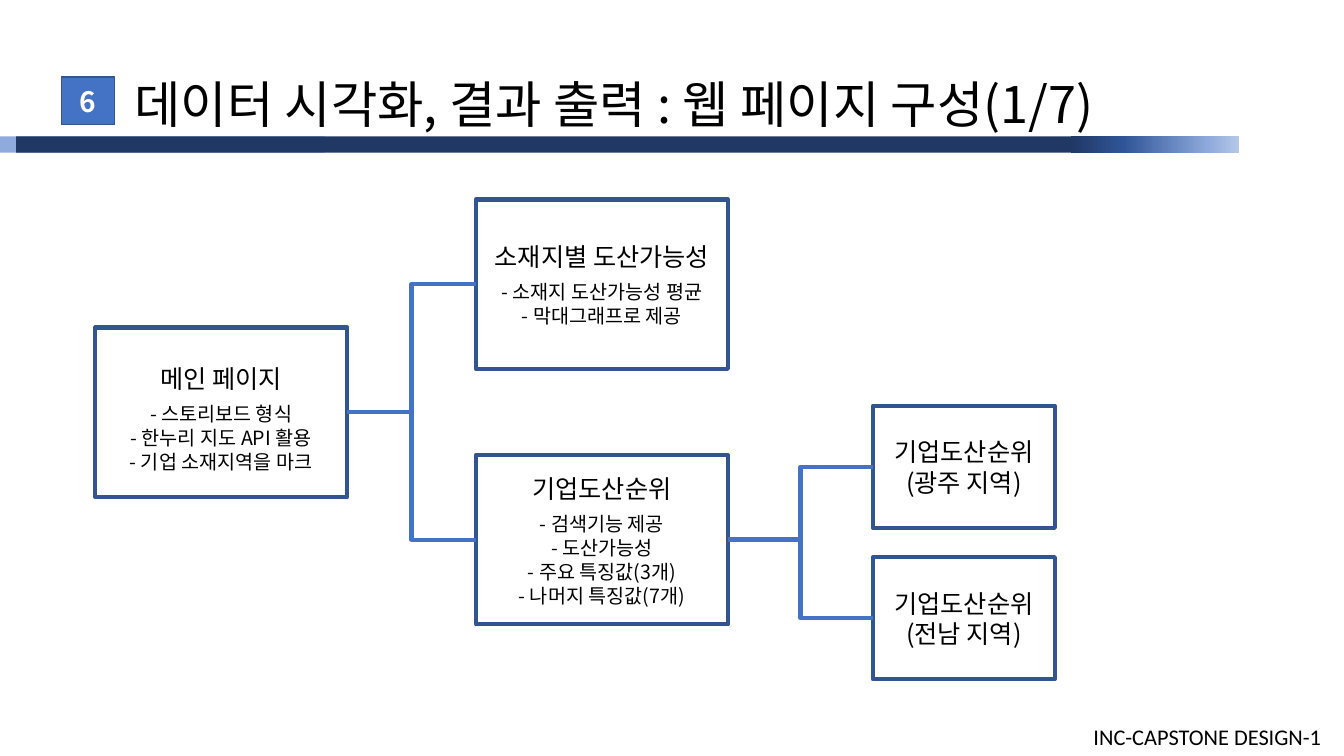
from lxml import etree
from pptx import Presentation
from pptx.dml.color import RGBColor
from pptx.enum import shapes, text
from pptx.oxml.ns import qn
from pptx.util import Pt

KOREAN = "Noto Sans CJK KR"
LATIN = "Calibri"
WHITE = RGBColor(0xFF, 0xFF, 0xFF)
BLACK = RGBColor(0, 0, 0)
BLUE = RGBColor(0x44, 0x72, 0xC4)
FRAME_BLUE = RGBColor(0x32, 0x54, 0x91)
NAVY = RGBColor(0x20, 0x38, 0x64)
MID_BLUE = RGBColor(0x2F, 0x55, 0x97)
LIGHT_BLUE = RGBColor(0x8F, 0xAA, 0xDC)
PALE_BLUE = RGBColor(0xB4, 0xC7, 0xE7)
FADE = [(0, PALE_BLUE), (18, LIGHT_BLUE), (69, MID_BLUE), (100, NAVY)]

LINE_RATIO = 1.22
HEAD_SIZE, ITEM_SIZE, ITEM_GAP = 18, 14, 6
RIGHT_SITE, LEFT_SITE = 3, 1


def format_paragraph(p, size, color=BLACK, name=KOREAN, align=text.PP_ALIGN.LEFT):
    p.alignment = align
    p.line_spacing = Pt(round(size * LINE_RATIO, 1))
    p.font.size = Pt(size)
    p.font.name = name
    p.font.color.rgb = color
    east_asian = etree.SubElement(p._p.pPr.find(qn("a:defRPr")), qn("a:ea"))
    east_asian.set("typeface", name)


def add_rect(slide, x, y, w, h, fill=None, line=None, weight=1):
    sp = slide.shapes.add_shape(shapes.MSO_SHAPE.RECTANGLE, Pt(x), Pt(y), Pt(w), Pt(h))
    sp.shadow.inherit = False
    if fill is None:
        sp.fill.background()
    else:
        sp.fill.solid()
        sp.fill.fore_color.rgb = fill
    if line is None:
        sp.line.fill.background()
    else:
        sp.line.color.rgb = line
        sp.line.width = Pt(weight)
    return sp


def fade_fill(sp, stops):
    """Fill a shape with a gradient running from right to left."""
    sp.fill.gradient()
    sp.fill.gradient_angle = 180
    gs_list = sp._element.spPr.find(qn("a:gradFill")).find(qn("a:gsLst"))
    for gs in list(gs_list):
        gs_list.remove(gs)
    for percent, color in stops:
        gs = etree.SubElement(gs_list, qn("a:gs"), pos=str(percent * 1000))
        etree.SubElement(gs, qn("a:srgbClr"), val=str(color))


def add_title(slide, title):
    sp = slide.shapes.title
    sp.left, sp.top, sp.width, sp.height = Pt(27), Pt(48), Pt(870), Pt(51)
    tf = sp.text_frame
    tf.text = title
    tf.margin_left = Pt(69)
    tf.auto_size = text.MSO_AUTO_SIZE.NONE
    tf.vertical_anchor = text.MSO_ANCHOR.TOP
    format_paragraph(tf.paragraphs[0], 36)


def add_badge(slide, number):
    sp = add_rect(slide, 44, 55, 38, 34, BLUE, FRAME_BLUE)
    tf = sp.text_frame
    tf.text = number
    tf.vertical_anchor = text.MSO_ANCHOR.MIDDLE
    p = tf.paragraphs[0]
    format_paragraph(p, 20, WHITE, align=text.PP_ALIGN.CENTER)
    p.font.bold = True


def add_footer(slide, label):
    sp = slide.shapes.add_textbox(Pt(774), Pt(513), Pt(244), Pt(27))
    tf = sp.text_frame
    tf.word_wrap = True
    tf.text = label
    format_paragraph(tf.paragraphs[0], 16, name=LATIN)


def add_page(slide, x, y, w, h, heads, items=(), drop=0):
    """Draw a page's frame with its caption, lowered by drop, and return the frame."""
    frame = add_rect(slide, x, y, w, h, line=FRAME_BLUE, weight=3)
    caption = slide.shapes.add_textbox(Pt(x), Pt(y + drop), Pt(w), Pt(h))
    tf = caption.text_frame
    tf.word_wrap = True
    tf.vertical_anchor = text.MSO_ANCHOR.MIDDLE
    tf.text = "\n".join([*heads, *items])
    for i, p in enumerate(tf.paragraphs):
        size = HEAD_SIZE if i < len(heads) else ITEM_SIZE
        format_paragraph(p, size, align=text.PP_ALIGN.CENTER)
        if i == len(heads):
            p.space_before = Pt(ITEM_GAP)
    return frame


def link(slide, parent, child):
    line = slide.shapes.add_connector(shapes.MSO_CONNECTOR.ELBOW, 0, 0, 0, 0)
    line.begin_connect(parent, RIGHT_SITE)
    line.end_connect(child, LEFT_SITE)
    line.line.color.rgb = BLUE
    line.line.width = Pt(3)
    etree.SubElement(line._element.spPr, qn("a:effectLst"))


def main():
    prs = Presentation()
    prs.slide_width, prs.slide_height = Pt(960), Pt(540)
    slide = prs.slides.add_slide(prs.slide_layouts[5])

    add_rect(slide, 0, 97.5, 232, 11.5, LIGHT_BLUE)
    add_rect(slide, 11.5, 97.5, 873.5, 11.5, NAVY)
    fade_fill(add_rect(slide, 765, 97.5, 120, 11.5), FADE)
    add_title(slide, "데이터 시각화, 결과 출력 : 웹 페이지 구성(1/7)")
    add_badge(slide, "6")
    add_footer(slide, "INC-CAPSTONE DESIGN-1")

    main_page = add_page(
        slide, 68, 234, 180, 121, ["메인 페이지"],
        ["- 스토리보드 형식", "- 한누리 지도 API 활용", "- 기업 소재지역을 마크"], drop=4)
    by_location = add_page(
        slide, 340, 142.5, 180, 121, ["소재지별 도산가능성"],
        ["- 소재지 도산가능성 평균", "- 막대그래프로 제공"])
    ranking = add_page(
        slide, 340, 325, 180, 121, ["기업도산순위"],
        ["- 검색기능 제공", "- 도산가능성", "- 주요 특징값(3개)", "- 나머지 특징값(7개)"])
    for child in (by_location, ranking):
        link(slide, main_page, child)

    for i, region in enumerate(["광주", "전남"]):
        regional = add_page(slide, 623.5, 290 + 108 * i, 130, 87,
                            ["기업도산순위", f"({region} 지역)"])
        link(slide, ranking, regional)

    prs.save("out.pptx")


if __name__ == "__main__":
    main()
